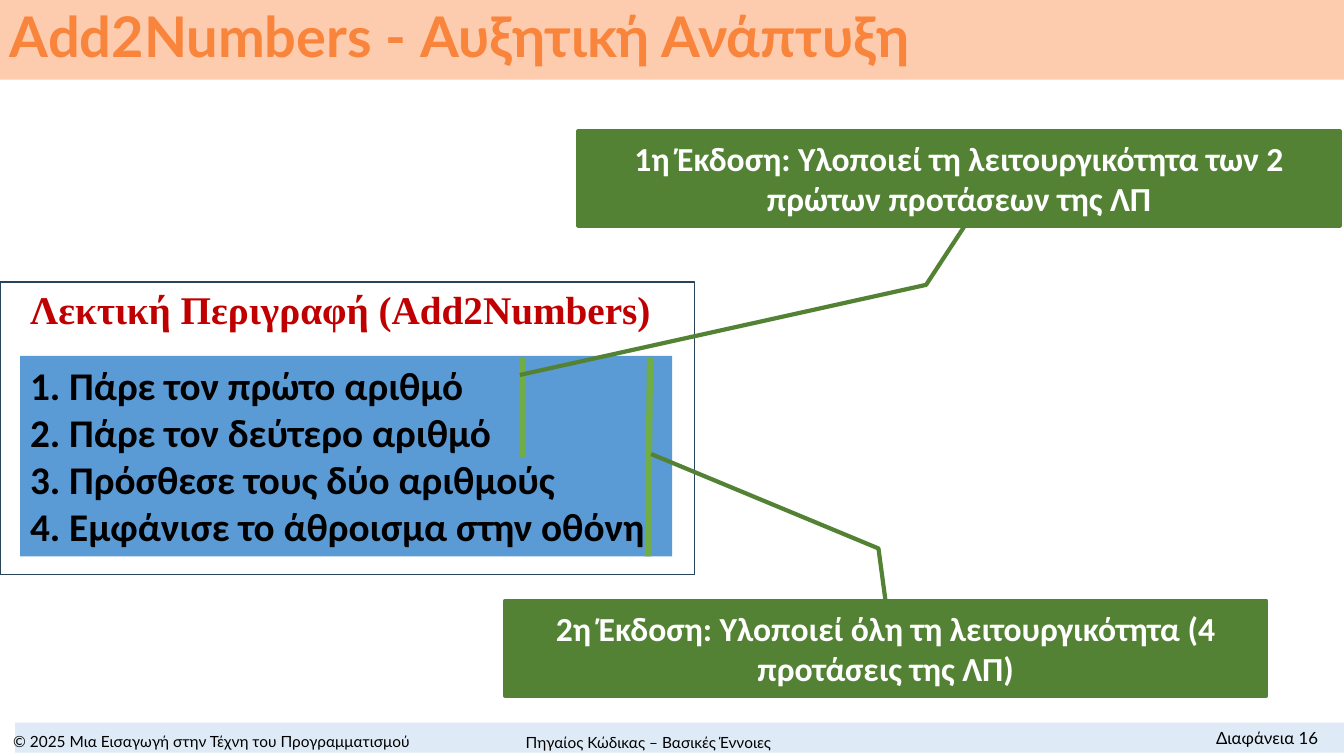
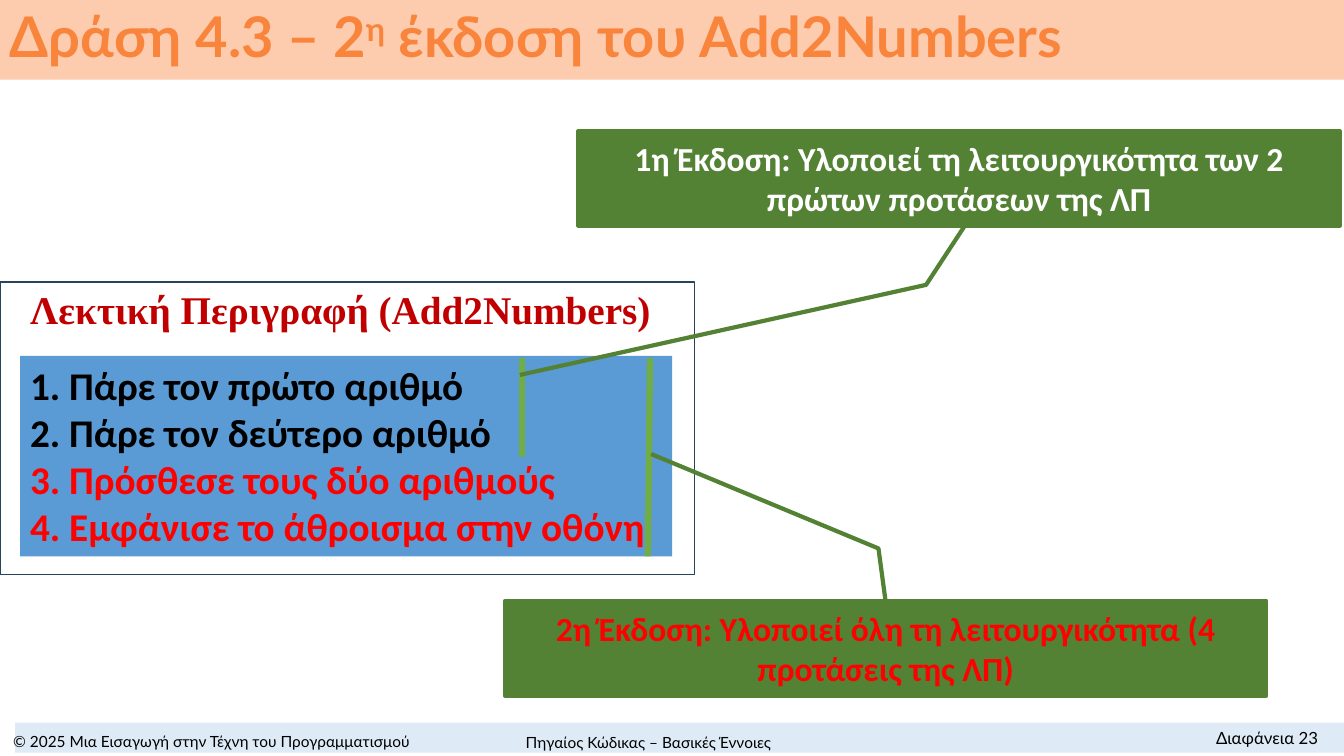
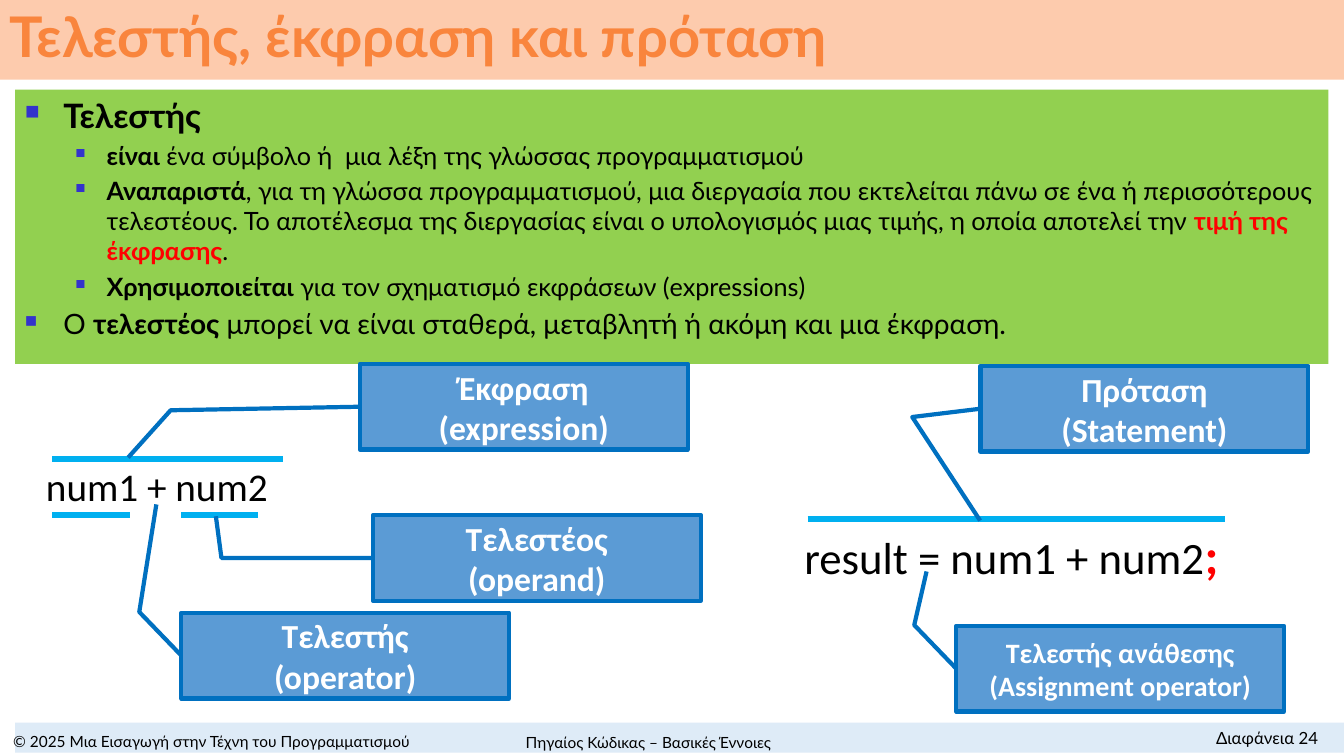
import pptx
import pptx.util
import pptx.dml.color
import pptx.enum.shapes
import pptx.enum.text
import pptx.oxml
import pptx.oxml.ns

Cm, Pt = pptx.util.Cm, pptx.util.Pt
KIND = pptx.enum.shapes.MSO_SHAPE
ALIGN = pptx.enum.text.PP_ALIGN
ANCHOR = pptx.enum.text.MSO_ANCHOR

# Shared style
WIDE, HIGH = 33.87, 19.05
LATO, CALI, TIMES = "Lato", "Calibri", "Times New Roman"
BLACK, WHITE, RED = "000000", "FFFFFF", "FF0000"
PEACH, ORANGE, PALE = "FDCBAD", "F9853D", "DEEBF7"
BLUE, NAVY, EDGE, SKY = "5B9BD5", "28445D", "0070C0", "00B0F0"
GREEN, LEAF, LIME = "548235", "70AD47", "92D050"
MARK, CRIMSON = "3333CC", "C00000"
BOLD, HOT = {"bold": True}, {"bold": True, "color": RED}

RIGHTS = "© 2025 Μια Εισαγωγή στην Τέχνη του Προγραμματισμού"
TOPIC = "Πηγαίος Κώδικας – Βασικές Έννοιες"

# Version slides: number, title, colour of the second version
PLANS = [
    (16, "Add2Numbers - Αυξητική Ανάπτυξη", BLACK, WHITE),
    (23, [("Δράση 4.3 – 2", {}), ("η", {"base": 30000}),
          (" έκδοση του Add2Numbers", {})], RED, RED),
]
HEAD = "Λεκτική Περιγραφή (Add2Numbers)"
STEPS = ["1. Πάρε τον πρώτο αριθμό", "2. Πάρε τον δεύτερο αριθμό",
         "3. Πρόσθεσε τους δύο αριθμούς", "4. Εμφάνισε το άθροισμα στην οθόνη"]
FIRST = "1η Έκδοση: Υλοποιεί τη λειτουργικότητα των 2 πρώτων προτάσεων της ΛΠ"
SECOND = "2η Έκδοση: Υλοποιεί όλη τη λειτουργικότητα (4 προτάσεις της ΛΠ)"
SPANS = [(13.16, 9.02, 13.16, 11.51), (16.38, 9.02, 16.33, 14.02)]

# Operator slide
TERMS = "Τελεστής, έκφραση και πρόταση"
POINTS = [  # level, size, runs
    (0, 24, [("Τελεστής", BOLD)]),
    (1, 18, [("είναι", BOLD),
             (" ένα σύμβολο ή  μια λέξη της γλώσσας προγραμματισμού", {})]),
    (1, 18, [("Αναπαριστά", BOLD),
             (", για τη γλώσσα προγραμματισμού, μια διεργασία που εκτελείται "
              "πάνω σε ένα ή περισσότερους τελεστέους. Το αποτέλεσμα της "
              "διεργασίας είναι ο υπολογισμός μιας τιμής, η οποία αποτελεί την ", {}),
             ("τιμή της έκφρασης", HOT), (".", {})]),
    (1, 18, [("Χρησιμοποιείται", BOLD),
             (" για τον σχηματισμό εκφράσεων (expressions)", {})]),
    (0, 20, [("Ο ", {}), ("τελεστέος", BOLD),
             (" μπορεί να είναι σταθερά, μεταβλητή ή ακόμη και μια έκφραση.", {})]),
]
LEVELS = [(0.97, -0.97, 60), (2.06, -0.79, 55)]  # margin, indent, bullet percent
BARS = [(1.32, 11.56, 7.14), (1.32, 12.98, 3.28),
        (4.57, 12.98, 6.5), (20.35, 13.08, 30.86)]
LABELS = [  # lines, size, corner, bend, tip
    (["Έκφραση", "(expression)"], 24, (9.07, 9.17), (4.3, 10.34), (3.23, 11.53)),
    (["Τελεστής", "(operator)"], 24, (4.57, 15.44), (3.51, 15.42), (3.94, 12.71)),
    (["Τελεστέος", "(operand)"], 24, (9.4, 12.98), (5.58, 14.06), (5.44, 13.01)),
    (["Πρόταση", "(Statement)"], 24, (24.71, 9.22), (22.99, 10.51), (24.7, 13.12)),
    (["Τελεστής ανάθεσης", "(Assignment operator)"], 20,
     (24.1, 15.77), (23.04, 15.75), (23.35, 14.4)),
]


def paint(code):
    return pptx.dml.color.RGBColor.from_string(code)


def write(shape, paras, size=24, font=CALI, color=BLACK, bold=False,
          align=ALIGN.LEFT, anchor=ANCHOR.TOP, space=None):
    """Fill a shape; each paragraph is a string or a list of (text, format)."""
    frame = shape.text_frame
    frame.word_wrap = True
    frame.vertical_anchor = anchor
    for i, runs in enumerate(paras):
        para = frame.paragraphs[0] if i == 0 else frame.add_paragraph()
        para.alignment = align
        para.line_spacing = space
        for text, form in [(runs, {})] if isinstance(runs, str) else runs:
            run = para.add_run()
            run.text = text
            run.font.name = font
            run.font.size = Pt(form.get("size", size))
            run.font.bold = form.get("bold", bold)
            run.font.color.rgb = paint(form.get("color", color))
            if "base" in form:
                run.font.size = Pt(size)
                run._r.get_or_add_rPr().set("baseline", str(form["base"]))
    return frame


def block(slide, area, fill, line=None, width=1, kind=KIND.RECTANGLE):
    shape = slide.shapes.add_shape(kind, *map(Cm, area))
    shape.shadow.inherit = False
    shape.fill.solid()
    shape.fill.fore_color.rgb = paint(fill)
    if line:
        shape.line.color.rgb = paint(line)
        shape.line.width = Pt(width)
    else:
        shape.line.fill.background()
    return shape


def label(slide, area, paras, **form):
    return write(slide.shapes.add_textbox(*map(Cm, area)), paras, **form)


def stroke(slide, ends, color):
    line = slide.shapes.add_connector(
        pptx.enum.shapes.MSO_CONNECTOR.STRAIGHT, *map(Cm, ends))
    line.line.color.rgb = paint(color)
    line.line.width = Pt(4.5)
    line._element.spPr.append(pptx.oxml.parse_xml(
        "<a:effectLst %s/>" % pptx.oxml.ns.nsdecls("a")))


def callout(slide, area, paras, start, bend, tip, fill, edge, **form):
    """Box with a bent leader: start is a share of the box, the rest are in cm."""
    left, top, wide, high = area
    shape = block(slide, area, fill, edge, 3, KIND.LINE_CALLOUT_2)
    spots = [start] + [((x - left) / wide, (y - top) / high) for x, y in (bend, tip)]
    for i, (x, y) in enumerate(spots):
        shape.adjustments[2 * i] = y
        shape.adjustments[2 * i + 1] = x
    write(shape, paras, bold=True, align=ALIGN.CENTER, anchor=ANCHOR.MIDDLE, **form)


def bullet(para, level, size, first):
    margin, indent, share = LEVELS[level]
    props = para._p.get_or_add_pPr()
    props.set("marL", str(Cm(margin)))
    props.set("indent", str(Cm(indent)))
    for tag in ('buClr %s><a:srgbClr val="' + MARK + '"/></a:buClr',
                'buSzPct %s val="' + str(share * 1000) + '"/',
                'buChar %s char="■"/'):
        props.append(pptx.oxml.parse_xml(
            "<a:" + tag % pptx.oxml.ns.nsdecls("a") + ">"))
    para.level = level
    if not first:
        para.space_before = Pt(size * 0.2)


def base(deck, title, number):
    """New slide with title band and footer."""
    slide = deck.slides.add_slide(deck.slide_layouts[6])
    block(slide, (0.38, 18.21, WIDE - 0.38, 0.76), PALE)
    write(block(slide, (0, 0, WIDE, 2.01), PEACH), [title], size=40, font=LATO,
          color=ORANGE, bold=True, anchor=ANCHOR.MIDDLE, space=0.9)
    foot = {"font": LATO, "align": ALIGN.CENTER, "anchor": ANCHOR.MIDDLE}
    label(slide, (0, 18.34, 10.67, 0.66), [RIGHTS], size=11, **foot)
    label(slide, (11.53, 18.36, 9.63, 0.69), [TOPIC], size=11, **foot)
    label(slide, (28.24, 18.21, 5.23, 0.76), ["Διαφάνεια %d" % number],
          size=12, font=LATO, align=ALIGN.RIGHT)
    return slide


def plan(deck, number, title, late, note):
    """Word description with the two versions."""
    slide = base(deck, title, number)
    block(slide, (0, 7.11, 17.5, 7.37), WHITE, NAVY)
    label(slide, (0, 7.06, 17.15, 1.45), [HEAD], size=28, font=TIMES,
          color=CRIMSON, bold=True, align=ALIGN.CENTER)
    steps = STEPS[:2] + [[(step, {"bold": True, "color": late})] for step in STEPS[2:]]
    write(block(slide, (0.51, 8.97, 16.43, 5.05), BLUE), steps, size=28, bold=True)
    for ends in SPANS:
        stroke(slide, ends, LEAF)
    callout(slide, (14.58, 3.3, 19.18, 2.39), [FIRST], (0.51, 0.97),
            (23.34, 7.18), (13.1, 9.45), GREEN, GREEN, color=WHITE)
    callout(slide, (12.73, 15.14, 19.18, 2.39), [SECOND], (0.5, 0.01),
            (22.14, 13.82), (16.41, 11.44), GREEN, GREEN, color=note)


def terms(deck):
    """Operator, expression and statement."""
    slide = base(deck, TERMS, 24)
    panel = block(slide, (0.38, 2.26, 33.1, 6.91), LIME)
    paras = [[(text, {"size": size, **form}) for text, form in runs]
             for _, size, runs in POINTS]
    frame = write(panel, paras, font=LATO)
    for i, (level, size, _) in enumerate(POINTS):
        bullet(frame.paragraphs[i], level, size, i == 0)
    label(slide, (0.91, 11.53, 17.42, 1.45), ["num1 + num2"], size=28)
    label(slide, (20.02, 13.08, 13.5, 1.8),
          [[("result = num1 + num2", {}), (";", {"size": 36, **HOT})]], size=32)
    for left, top, right in BARS:
        stroke(slide, (left, top, right, top), SKY)
    for lines, size, spot, bend, tip in LABELS:
        callout(slide, (*spot, 8.26, 2.16), lines, (0, 0.5), bend, tip,
                BLUE, EDGE, color=WHITE, size=size)


def main():
    deck = pptx.Presentation()
    deck.slide_width, deck.slide_height = Cm(WIDE), Cm(HIGH)
    for item in PLANS:
        plan(deck, *item)
    terms(deck)
    deck.save("out.pptx")


if __name__ == "__main__":
    main()
